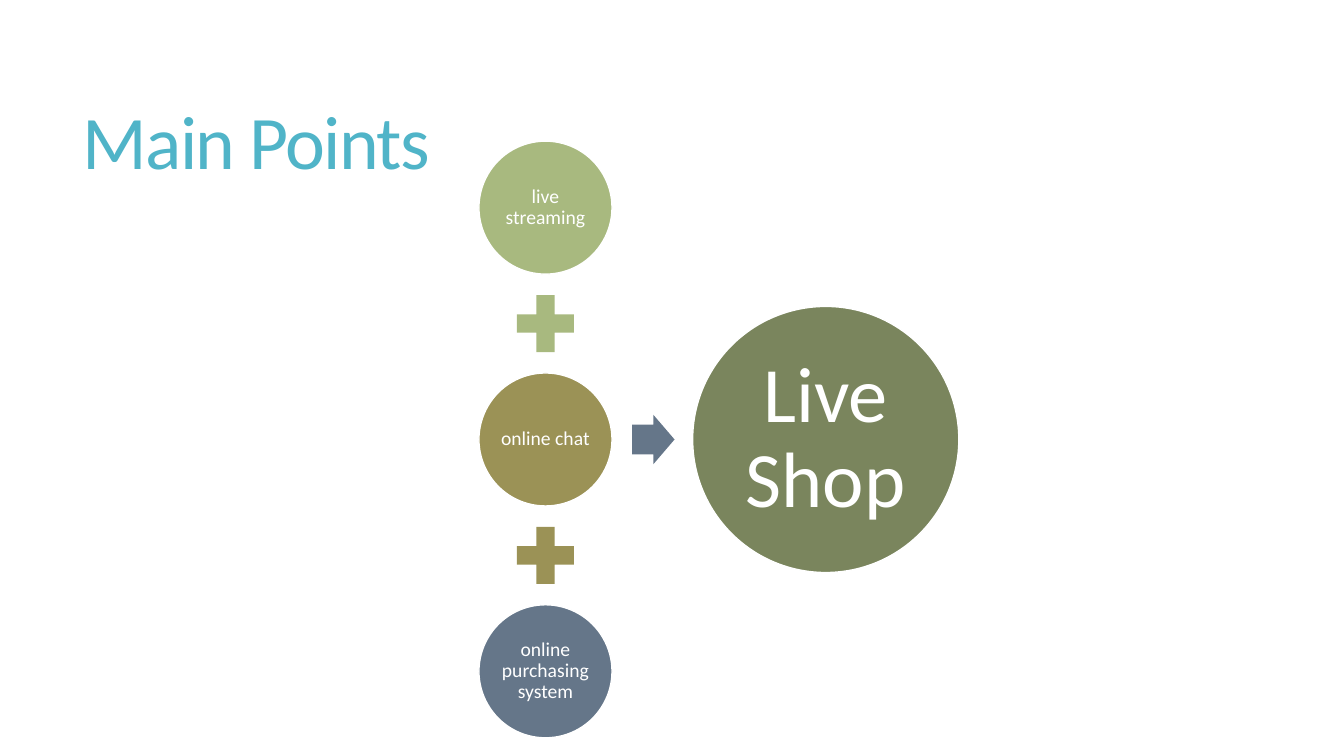
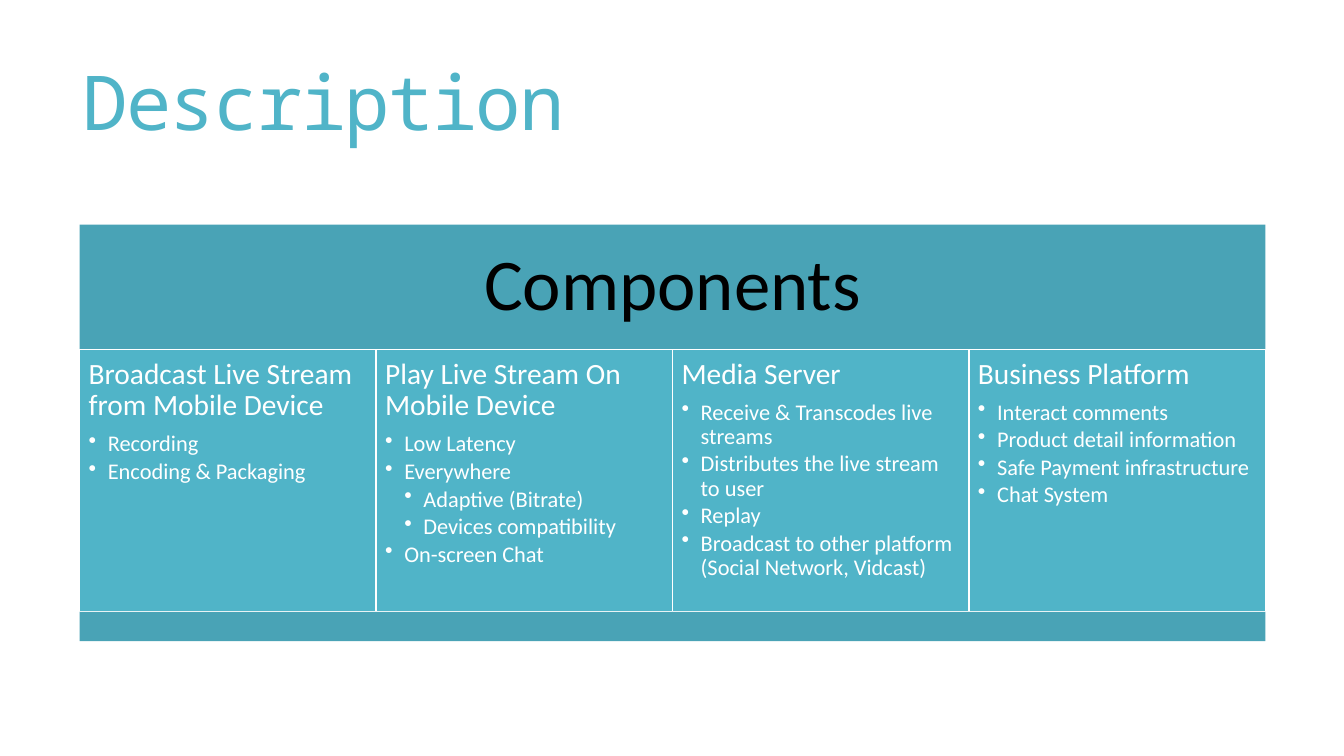
from lxml import etree
from pptx import Presentation
from pptx import util as u
from pptx.dml.color import RGBColor
from pptx.enum import shapes, text
from pptx.oxml.ns import qn

# Shared style
WIDTH, HEIGHT = 13.33, 7.5
FONT = "Calibri"
WHITE, BLACK, TEAL, DARK_TEAL = "FFFFFF", "000000", "50B4C8", "49A3B6"
GREEN, OLIVE, SLATE, MOSS = "A8B97F", "9B9256", "657689", "7A855D"
KIND = shapes.MSO_SHAPE
ALIGN, ANCHOR = text.PP_ALIGN, text.MSO_ANCHOR

# Content
INGREDIENTS = [
    ("live streaming", GREEN),
    ("online chat", OLIVE),
    ("online purchasing system", SLATE),
]
RESULT = "Live Shop"
COMPONENTS = [  # heading, then (level, text) bullets
    ("Broadcast Live Stream from Mobile Device",
     [(1, "Recording"), (1, "Encoding & Packaging")]),
    ("Play Live Stream On Mobile Device",
     [(1, "Low Latency"), (1, "Everywhere"), (2, "Adaptive (Bitrate)"),
      (2, "Devices compatibility"), (1, "On-screen Chat")]),
    ("Media Server",
     [(1, "Receive & Transcodes live streams"),
      (1, "Distributes the live stream to user"), (1, "Replay"),
      (1, "Broadcast to other platform (Social Network, Vidcast)")]),
    ("Business Platform",
     [(1, "Interact comments"), (1, "Product detail information"),
      (1, "Safe Payment infrastructure"), (1, "Chat System")]),
]


def color(value):
    return RGBColor.from_string(value)


def add_bullet(paragraph, level, indent=0.19):
    properties = paragraph._p.get_or_add_pPr()
    properties.set("marL", str(u.Inches(indent * level)))
    properties.set("indent", str(-u.Inches(indent)))
    etree.SubElement(properties, qn("a:buChar")).set("char", "•")


def write(shape, words, size=14, fill=WHITE, font=FONT, align=ALIGN.LEFT,
          leading=0.9, after=0.35, level=0, tracking=0, first=True):
    """Write one paragraph; after is a share of the text size."""
    frame = shape.text_frame
    paragraph = frame.paragraphs[0] if first else frame.add_paragraph()
    if level:
        add_bullet(paragraph, level)
    paragraph.alignment = align
    paragraph.line_spacing = leading
    paragraph.space_after = u.Pt(size * after)
    run = paragraph.add_run()
    run.text = words
    run.font.size, run.font.name = u.Pt(size), font
    run.font.color.rgb = color(fill)
    if tracking:
        run._r.get_or_add_rPr().set("spc", str(round(tracking * 100)))


def set_frame(shape, anchor, inset):
    frame = shape.text_frame
    frame.word_wrap, frame.vertical_anchor = True, anchor
    frame.margin_left = frame.margin_right = u.Inches(inset)
    frame.margin_top = frame.margin_bottom = u.Inches(inset)


def add_shape(slide, kind, left, top, width, height, fill, outlined=False,
              anchor=ANCHOR.MIDDLE, inset=0.02):
    shape = slide.shapes.add_shape(kind, *map(u.Inches, (left, top, width, height)))
    shape.shadow.inherit = False
    shape.fill.solid()
    shape.fill.fore_color.rgb = color(fill)
    if outlined:
        shape.line.color.rgb = color(WHITE)
        shape.line.width = u.Pt(1)
    else:
        shape.line.fill.background()
    set_frame(shape, anchor, inset)
    return shape


def add_centered(slide, kind, x, y, width, height, fill, **options):
    return add_shape(slide, kind, x - width / 2, y - height / 2,
                     width, height, fill, **options)


def add_slide(presentation, title, font=FONT, title_height=1.81):
    slide = presentation.slides.add_slide(presentation.slide_layouts[6])
    box = slide.shapes.add_textbox(*map(u.Inches, (0.72, 0.55, 11.78, title_height)))
    set_frame(box, ANCHOR.MIDDLE, 0.1)
    box.text_frame.margin_top = box.text_frame.margin_bottom = u.Inches(0.05)
    write(box, title, size=54, fill=TEAL, font=font, leading=0.85, after=0,
          tracking=-1.2)
    return slide


def build_main_points(presentation):
    slide = add_slide(presentation, "Main Points")
    x, middle, step = 5.41, 4.36, 2.3
    small, large, plus = 1.32, 2.64, 0.77

    # Column of circles joined by plus signs
    for index, (words, fill) in enumerate(INGREDIENTS):
        y = middle + (index - 1) * step
        circle = add_centered(slide, KIND.OVAL, x, y, small, small, fill, outlined=True)
        write(circle, words, align=ALIGN.CENTER)
        if index < len(INGREDIENTS) - 1:
            add_centered(slide, KIND.MATH_PLUS, x, y + step / 2, plus, plus, fill)

    # Arrow to the result
    arrow = add_centered(slide, KIND.RIGHT_ARROW, 6.48, middle, 0.42, 0.49, SLATE)
    arrow.adjustments[0] = 0.6
    result = add_centered(slide, KIND.OVAL, 8.19, middle, large, large, MOSS,
                          outlined=True, inset=0.08)
    write(result, RESULT, size=56, align=ALIGN.CENTER)


def build_description(presentation):
    slide = add_slide(presentation, "Description", font="Noto Sans Mono",
                      title_height=1.03)
    left, top, width = 0.79, 2.23, 11.76
    header, body, footer = 1.24, 2.6, 0.29
    column = width / len(COMPONENTS)

    # Header band
    band = add_shape(slide, KIND.RECTANGLE, left, top, width, header, DARK_TEAL,
                     inset=0.22)
    write(band, "Components", size=52, fill=BLACK, align=ALIGN.CENTER)

    # Component columns
    for index, (heading, bullets) in enumerate(COMPONENTS):
        panel = add_shape(slide, KIND.RECTANGLE, left + index * column, top + header,
                          column, body, TEAL, outlined=True,
                          anchor=ANCHOR.TOP, inset=0.09)
        write(panel, heading, size=21)
        for level, words in bullets:
            write(panel, words, size=16, after=0.15, level=level, first=False)

    # Footer band
    add_shape(slide, KIND.RECTANGLE, left, top + header + body, width, footer, DARK_TEAL)


def main():
    presentation = Presentation()
    presentation.slide_width = u.Inches(WIDTH)
    presentation.slide_height = u.Inches(HEIGHT)
    build_main_points(presentation)
    build_description(presentation)
    presentation.save("out.pptx")


if __name__ == "__main__":
    main()
